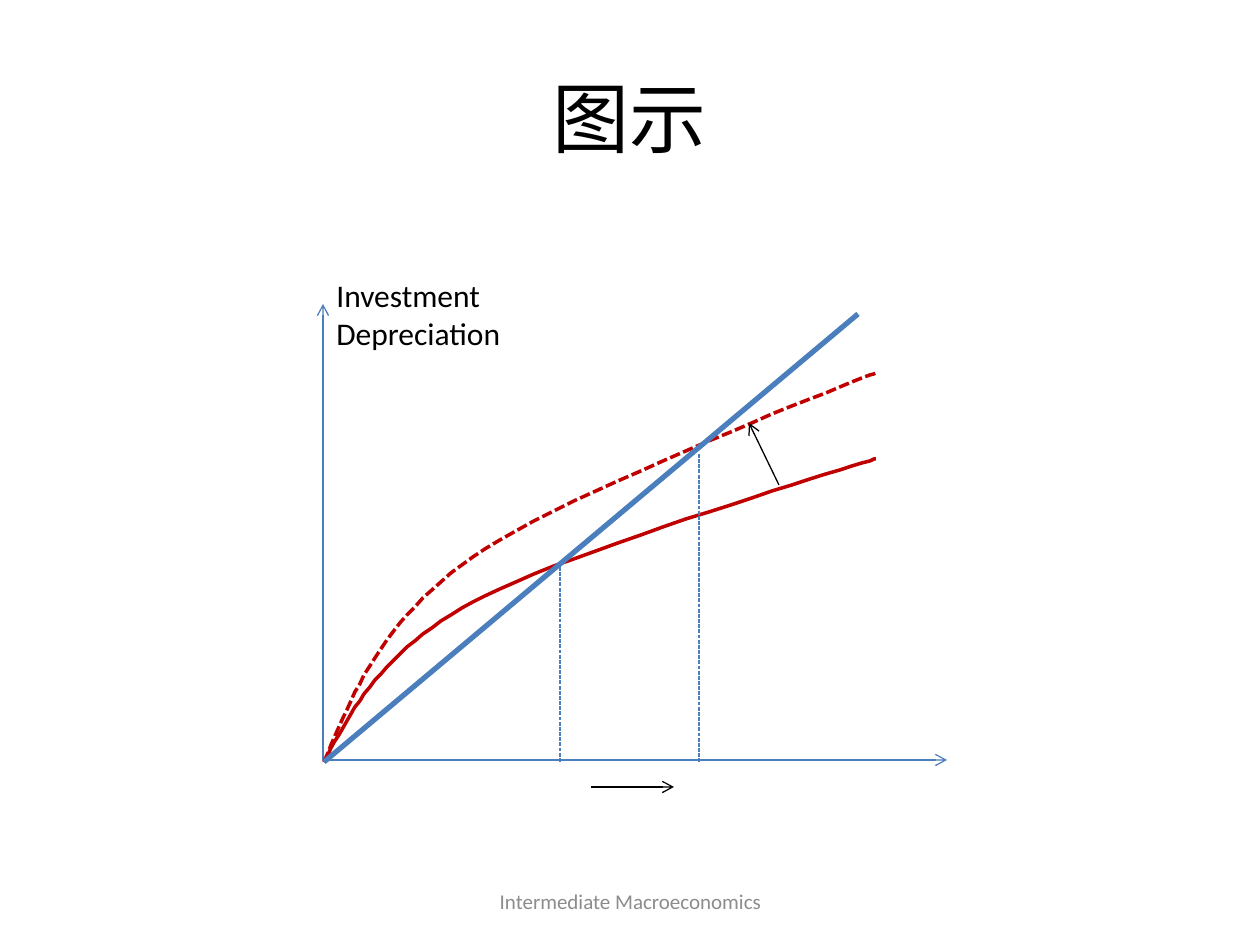
from dataclasses import dataclass

from lxml import etree
from pptx import Presentation
from pptx import util as u
from pptx.dml.color import RGBColor
from pptx.enum import dml, shapes, text
from pptx.oxml.ns import qn

PX = 914400 / 126  # EMU per px


@dataclass
class Theme:
    font: str = "Calibri"
    ink: str = "000000"
    muted: str = "8C8C8C"
    blue: str = "4B7EBC"
    red: str = "C00000"
    title: int = 44
    label: int = 18
    footer: int = 12
    thin: float = 0.75
    curve: int = 2
    thick: int = 3


theme = Theme()

# Content: lengths in px
TITLE = ("图示", (63, 38, 1134, 157))
AXIS_LABEL = (["Investment", "Depreciation"], (324, 270, 236, 89))
FOOTER = (["Intermediate Macroeconomics"], (431, 876, 399, 50))

ORIGIN = (323, 760)
START = (324, 762)  # where the curves and the depreciation line begin

# Investment curves: two cubic segments each, then whether dashed
CURVES = [
    ([(353, 707), (381, 653), (473, 602), (564, 552), (876, 459), (876, 459)], False),
    ([(353, 692), (381, 622), (473, 557), (564, 493), (876, 373), (876, 373)], True),
]

# Straight lines: start, end, colour, width, dashed, arrowhead
AXES = [
    (ORIGIN, (947, 760), theme.blue, theme.thin, False, True),
    (ORIGIN, (323, 304), theme.blue, theme.thin, False, True),
]
MARKS = [
    (START, (858, 314), theme.blue, theme.thick, False, False),
    ((779, 485), (749, 423), theme.ink, theme.thin, False, True),
    ((699, 454), (699, 762), theme.blue, theme.thin, True, False),
    ((560, 567), (560, 762), theme.blue, theme.thin, True, False),
    ((591, 787), (674, 787), theme.ink, theme.thin, False, True),
]


def emu(values):
    return [round(value * PX) for value in values]


def style_line(line, colour, width, dashed):
    line.color.rgb = RGBColor.from_string(colour)
    line.width = u.Pt(width)
    if dashed:
        line.dash_style = dml.MSO_LINE.SQUARE_DOT


def add_line(page, start, end, colour, width, dashed, arrow):
    line = page.shapes.add_connector(
        shapes.MSO_CONNECTOR.STRAIGHT, *emu(start), *emu(end))
    style_line(line.line, colour, width, dashed)
    properties = line._element.spPr
    if arrow:
        etree.SubElement(properties.find(qn("a:ln")), qn("a:tailEnd"), type="arrow")
    etree.SubElement(properties, qn("a:effectLst"))


def cubic(points, steps=24):
    """Points along one cubic segment, without its first point."""
    for step in range(1, steps + 1):
        t = step / steps
        weights = ((1 - t) ** 3, 3 * t * (1 - t) ** 2, 3 * t * t * (1 - t), t ** 3)
        yield tuple(sum(w * p[axis] for w, p in zip(weights, points))
                    for axis in (0, 1))


def add_curve(page, controls, dashed):
    knots = [START] + controls
    outline = [*cubic(knots[:4]), *cubic(knots[3:])]
    builder = page.shapes.build_freeform(*START, scale=PX)
    builder.add_line_segments(outline, close=False)
    curve = builder.convert_to_shape()
    curve.shadow.inherit = False
    curve.fill.background()
    style_line(curve.line, theme.red, theme.curve, dashed)


def format_text(frame, size, colour, align):
    for para in frame.paragraphs:
        para.alignment = align
        for span in para.runs:
            span.font.name = theme.font
            span.font.size = u.Pt(size)
            span.font.color.rgb = RGBColor.from_string(colour)


def add_text(page, lines, place, size, colour, align, anchor):
    frame = page.shapes.add_textbox(*emu(place)).text_frame
    frame.word_wrap = True
    frame.vertical_anchor = anchor
    frame.text = "\n".join(lines)
    format_text(frame, size, colour, align)


def main():
    deck = Presentation()
    deck.slide_width, deck.slide_height = u.Inches(10), u.Inches(7.5)
    page = deck.slides.add_slide(deck.slide_layouts[5])

    # Title
    words, place = TITLE
    title = page.shapes.title
    title.left, title.top, title.width, title.height = emu(place)
    title.text_frame.text = words
    title.text_frame.vertical_anchor = text.MSO_ANCHOR.MIDDLE
    format_text(title.text_frame, theme.title, theme.ink, text.PP_ALIGN.CENTER)

    # Diagram
    for axis in AXES:
        add_line(page, *axis)
    for curve in CURVES:
        add_curve(page, *curve)
    for mark in MARKS:
        add_line(page, *mark)

    # Axis label and footer
    add_text(page, *AXIS_LABEL, theme.label, theme.ink,
             text.PP_ALIGN.LEFT, text.MSO_ANCHOR.TOP)
    add_text(page, *FOOTER, theme.footer, theme.muted,
             text.PP_ALIGN.CENTER, text.MSO_ANCHOR.MIDDLE)

    deck.save("out.pptx")


if __name__ == "__main__":
    main()
